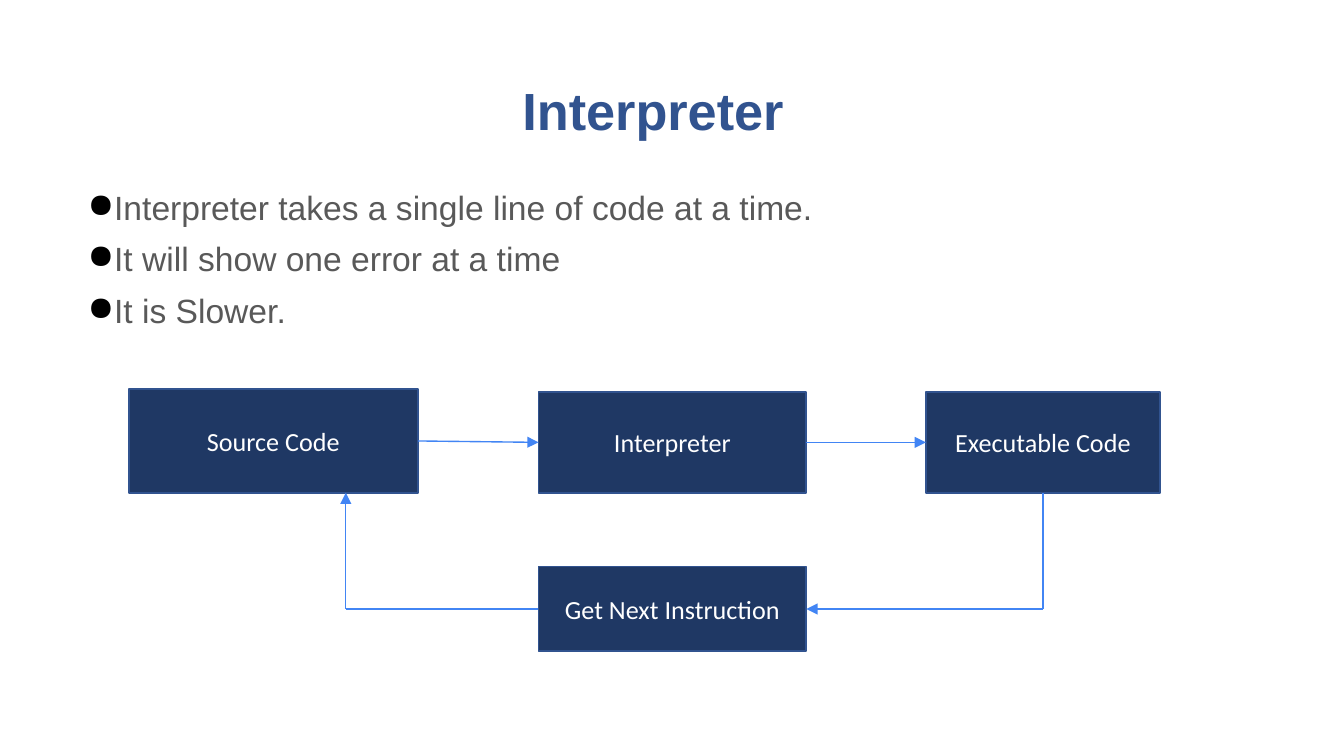
from dataclasses import dataclass

from lxml import etree
from pptx import Presentation
from pptx.dml.color import RGBColor
from pptx.enum import shapes, text
from pptx.oxml import ns
from pptx.util import Pt


@dataclass(frozen=True)
class Theme:
    title: RGBColor = RGBColor(0x31, 0x53, 0x8F)
    body: RGBColor = RGBColor(0x59, 0x59, 0x59)
    bullet: str = "000000"
    box_fill: RGBColor = RGBColor(0x1F, 0x38, 0x64)
    box_line: RGBColor = RGBColor(0x31, 0x53, 0x8F)
    box_text: RGBColor = RGBColor(0xFF, 0xFF, 0xFF)
    arrow: RGBColor = RGBColor(0x42, 0x85, 0xF4)
    text_font: str = "Arial"
    box_font: str = "Calibri"
    title_size: int = 28
    body_size: int = 18
    box_size: int = 14


THEME = Theme()


def add_child(parent, tag, **attributes):
    return etree.SubElement(parent, ns.qn(tag), **attributes)


def set_frame(frame, anchor):
    frame.word_wrap = True
    frame.vertical_anchor = anchor
    frame.margin_left = frame.margin_right = Pt(5.4)
    frame.margin_top = frame.margin_bottom = Pt(2.7)


def set_font(paragraph, name, size, color, bold=False):
    font = paragraph.font
    font.name, font.size, font.bold = name, Pt(size), bold
    font.color.rgb = color


def set_indent(paragraph, left, first=0):
    properties = paragraph._p.get_or_add_pPr()
    properties.set("marL", str(Pt(left)))
    properties.set("indent", str(Pt(first)))
    return properties


def add_title(slide, left, top, width, height):
    shape = slide.shapes.add_textbox(Pt(left), Pt(top), Pt(width), Pt(height))
    set_frame(shape.text_frame, text.MSO_ANCHOR.MIDDLE)
    paragraph = shape.text_frame.paragraphs[0]
    paragraph.text = "Interpreter"
    paragraph.line_spacing = 0.9
    set_indent(paragraph, 225)
    set_font(paragraph, THEME.text_font, THEME.title_size, THEME.title, True)


def add_bullets(slide, left, top, width, height, lines):
    shape = slide.shapes.add_textbox(Pt(left), Pt(top), Pt(width), Pt(height))
    frame = shape.text_frame
    set_frame(frame, text.MSO_ANCHOR.TOP)
    for index, line in enumerate(lines):
        paragraph = frame.add_paragraph() if index else frame.paragraphs[0]
        paragraph.text = line
        paragraph.line_spacing = 0.9
        paragraph.space_before = Pt(8 if index else 0)
        set_font(paragraph, THEME.text_font, THEME.body_size, THEME.body)
        properties = set_indent(paragraph, 13.5, -13.5)
        default = properties.find(ns.qn("a:defRPr"))
        color = etree.Element(ns.qn("a:buClr"))
        add_child(color, "a:srgbClr", val=THEME.bullet)
        character = etree.Element(ns.qn("a:buChar"), char="●")
        default.addprevious(color)
        default.addprevious(character)


def add_step(slide, label, left, top, width, height):
    shape = slide.shapes.add_shape(
        shapes.MSO_SHAPE.RECTANGLE, Pt(left), Pt(top), Pt(width), Pt(height)
    )
    shape.shadow.inherit = False
    shape.fill.solid()
    shape.fill.fore_color.rgb = THEME.box_fill
    shape.line.color.rgb = THEME.box_line
    shape.line.width = Pt(1)
    set_frame(shape.text_frame, text.MSO_ANCHOR.MIDDLE)
    paragraph = shape.text_frame.paragraphs[0]
    paragraph.text = label
    paragraph.alignment = text.PP_ALIGN.CENTER
    set_font(paragraph, THEME.box_font, THEME.box_size, THEME.box_text)
    return shape


def add_line(slide, start, end, arrow=False):
    connector = slide.shapes.add_connector(
        shapes.MSO_CONNECTOR.STRAIGHT, *start, *end
    )
    connector.line.color.rgb = THEME.arrow
    connector.line.width = Pt(0.75)
    if arrow:
        add_child(connector.line._get_or_add_ln(), "a:tailEnd", type="triangle")
    add_child(connector._element.spPr, "a:effectLst")


def left_middle(shape):
    return shape.left, shape.top + shape.height // 2


def right_middle(shape):
    return shape.left + shape.width, shape.top + shape.height // 2


def add_flow(slide, left, top, width, height):
    middle, middle_width, last_width = left + 219.5, 143.5, 125.5
    source = add_step(slide, "Source Code", left, top, 155, 55.5)
    interpreter = add_step(slide, "Interpreter", middle, top + 1.5, middle_width, 54)
    executable = add_step(
        slide, "Executable Code", left + width - last_width, top + 1.5, last_width, 54
    )
    following = add_step(
        slide, "Get Next Instruction", middle, top + height - 45.5, middle_width, 45.5
    )
    for before, after in ((source, interpreter), (interpreter, executable)):
        add_line(slide, right_middle(before), left_middle(after), True)

    return_level = left_middle(following)[1]
    outer_x = executable.left + executable.width // 2
    inner_x = source.left + source.width * 3 // 4
    outer_corner = outer_x, return_level
    inner_corner = inner_x, return_level
    add_line(slide, (outer_x, executable.top + executable.height), outer_corner)
    add_line(slide, outer_corner, right_middle(following), True)
    add_line(slide, left_middle(following), inner_corner)
    add_line(slide, inner_corner, (inner_x, source.top + source.height), True)


def main():
    presentation = Presentation()
    presentation.slide_width, presentation.slide_height = Pt(720), Pt(405)
    slide = presentation.slides.add_slide(presentation.slide_layouts[6])
    add_title(slide, 49.5, 21.5, 621, 78.5)
    add_bullets(slide, 41.5, 100, 621, 257, (
        "Interpreter takes a single line of code at a time.",
        "It will show one error at a time",
        "It is Slower.",
    ))
    add_flow(slide, 69, 208.5, 552.5, 140.5)
    presentation.save("out.pptx")


if __name__ == "__main__":
    main()
